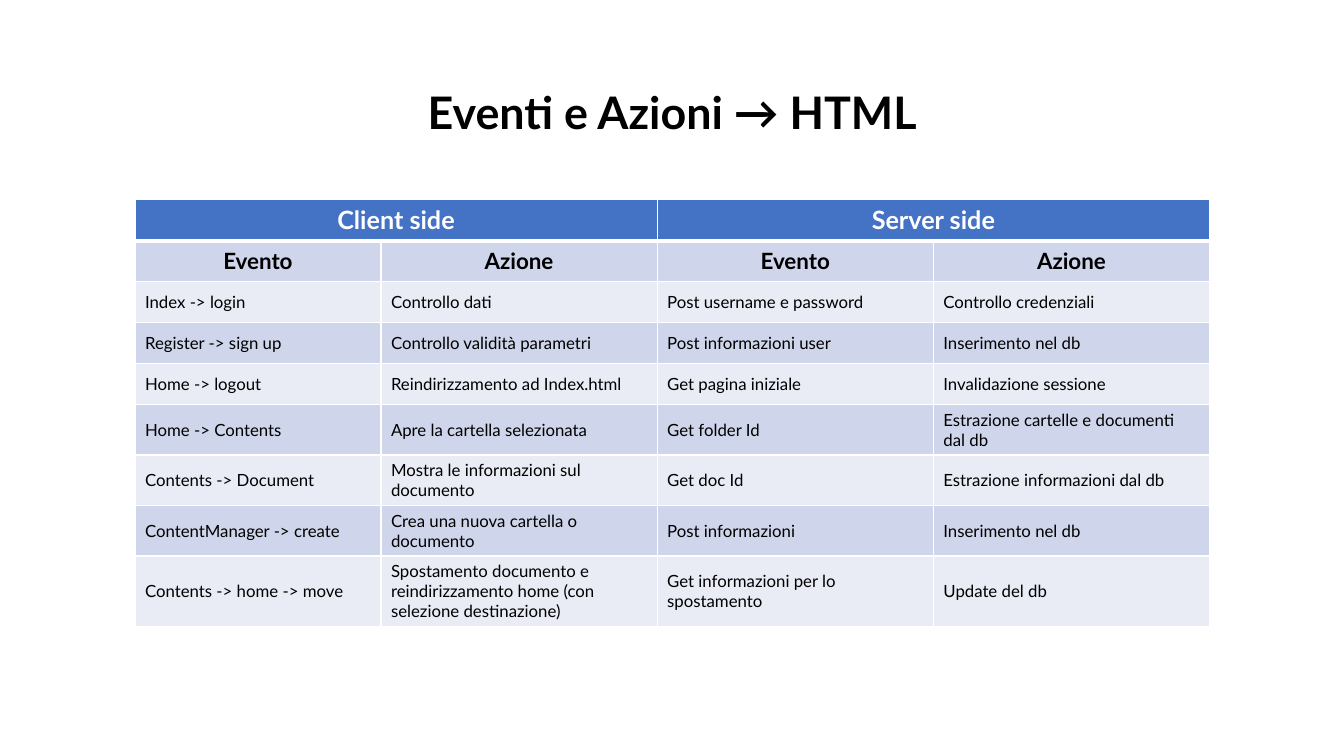
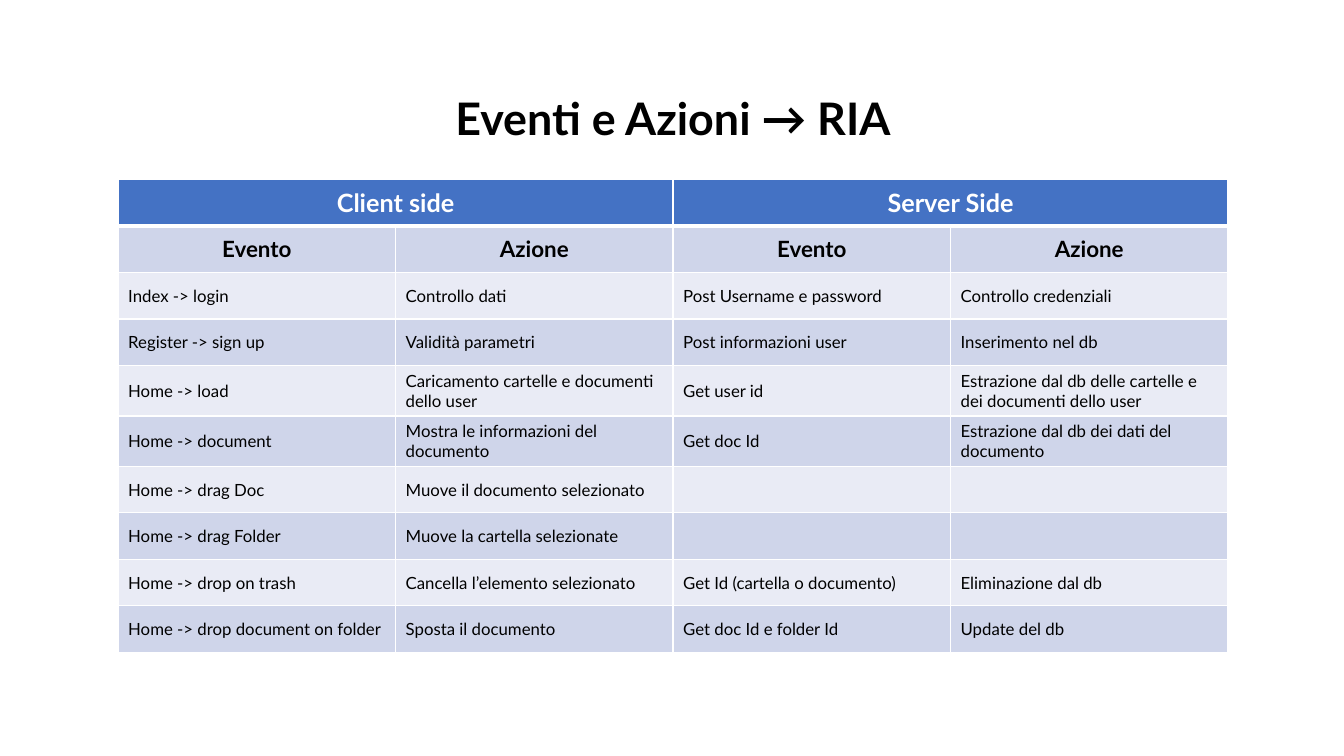
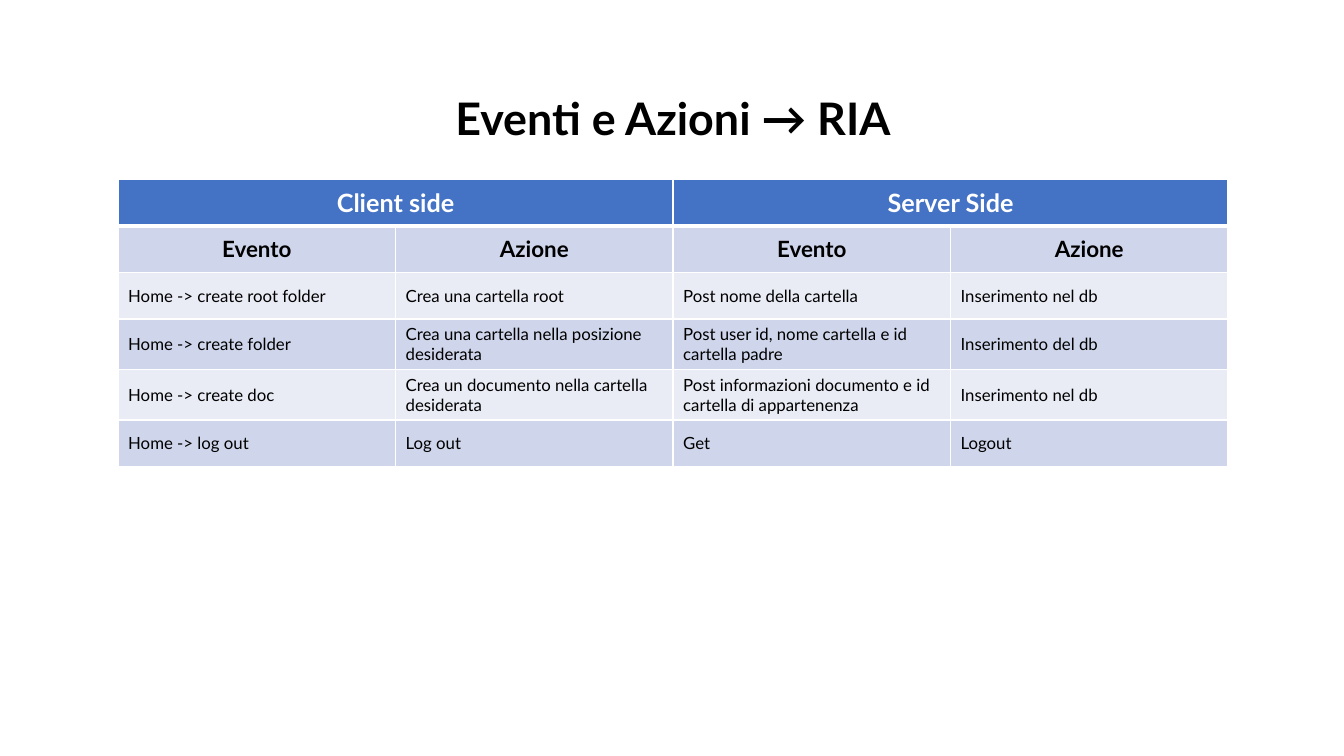
import pptx
import pptx.dml.color
import pptx.enum.text
import pptx.oxml.ns
import pptx.util
import lxml.etree

COLORS = {
    "header": "4472C4",
    "dark_band": "CFD5EA",
    "light_band": "E9EBF5",
    "white": "FFFFFF",
    "black": "000000",
}
FONT = "Lato"
TITLE_HEIGHT = 74.9
COLUMN_TITLES = ["Evento", "Azione", "Evento", "Azione"]
CENTER = pptx.enum.text.PP_ALIGN.CENTER
LEFT = pptx.enum.text.PP_ALIGN.LEFT

HTML_EVENTS = [
    ["Index -> login", "Controllo dati", "Post username e password", "Controllo credenziali"],
    ["Register -> sign up", "Controllo validità parametri", "Post informazioni user", "Inserimento nel db"],
    ["Home -> logout", "Reindirizzamento ad Index.html", "Get pagina iniziale", "Invalidazione sessione"],
    ["Home -> Contents", "Apre la cartella selezionata", "Get folder Id",
     "Estrazione cartelle e documenti dal db"],
    ["Contents -> Document", "Mostra le informazioni sul documento", "Get doc Id",
     "Estrazione informazioni dal db"],
    ["ContentManager -> create", "Crea una nuova cartella o documento", "Post informazioni",
     "Inserimento nel db"],
    ["Contents -> home -> move",
     "Spostamento documento e reindirizzamento home (con selezione destinazione)",
     "Get informazioni per lo spostamento", "Update del db"],
]
RIA_EVENTS = [
    ["Index -> login", "Controllo dati", "Post Username e password", "Controllo credenziali"],
    ["Register -> sign up", "Validità parametri", "Post informazioni user", "Inserimento nel db"],
    ["Home -> load", "Caricamento cartelle e documenti dello user", "Get user id",
     "Estrazione dal db delle cartelle e dei documenti dello user"],
    ["Home -> document", "Mostra le informazioni del documento", "Get doc Id",
     "Estrazione dal db dei dati del documento"],
    ["Home -> drag Doc", "Muove il documento selezionato", "", ""],
    ["Home -> drag Folder", "Muove la cartella selezionate", "", ""],
    ["Home -> drop on trash", "Cancella l’elemento selezionato", "Get Id (cartella o documento)",
     "Eliminazione dal db"],
    ["Home -> drop document on folder", "Sposta il documento", "Get doc Id e folder Id", "Update del db"],
]
RIA_CREATION_EVENTS = [
    ["Home -> create root folder", "Crea una cartella root", "Post nome della cartella", "Inserimento nel db"],
    ["Home -> create folder", "Crea una cartella nella posizione desiderata",
     "Post user id, nome cartella e id cartella padre", "Inserimento del db"],
    ["Home -> create doc", "Crea un documento nella cartella desiderata",
     "Post informazioni documento e id cartella di appartenenza", "Inserimento nel db"],
    ["Home -> log out", "Log out", "Get", "Logout"],
]

HTML_LAYOUT = {
    "title_box": (85.7, 28.1, 789.1),
    "table_origin": (96.4, 142.6),
    "column_widths": [175.7, 197.3, 197.3, 197.3],
    "row_height": 29.3,
    "sides": ["Client side", "Server side"],
}
RIA_LAYOUT = {
    "title_box": (84.4, 32.7, 792.8),
    "table_origin": (84.4, 128.3),
    "column_widths": [198.2] * 4,
    "row_height": 33.2,
    "sides": ["Client side", "Server Side"],
}


def rgb(name):
    return pptx.dml.color.RGBColor.from_string(COLORS[name])


def format_text(text_frame, size, color, bold, alignment):
    for paragraph in text_frame.paragraphs:
        paragraph.alignment = alignment
        for run in paragraph.runs:
            run.font.name = FONT
            run.font.size = pptx.util.Pt(size)
            run.font.bold = bold
            run.font.color.rgb = rgb(color)


def add_borders(cell, top, bottom):
    properties = cell._tc.get_or_add_tcPr()
    qualified = pptx.oxml.ns.qn
    for side, width in (("lnL", 1), ("lnR", 1), ("lnT", top), ("lnB", bottom)):
        line = lxml.etree.SubElement(properties, qualified("a:" + side), w=str(pptx.util.Pt(width)))
        fill = lxml.etree.SubElement(line, qualified("a:solidFill"))
        lxml.etree.SubElement(fill, qualified("a:srgbClr"), val=COLORS["white"])


def add_title(slide, text, box):
    left, top, width = box
    title = slide.shapes.title
    title.left, title.top = pptx.util.Pt(left), pptx.util.Pt(top)
    title.width, title.height = pptx.util.Pt(width), pptx.util.Pt(TITLE_HEIGHT)
    text_frame = title.text_frame
    text_frame.text = text
    text_frame.word_wrap = True
    text_frame.auto_size = pptx.enum.text.MSO_AUTO_SIZE.NONE
    text_frame.vertical_anchor = pptx.enum.text.MSO_ANCHOR.BOTTOM
    text_frame.paragraphs[0].line_spacing = 0.9
    format_text(text_frame, 32, "black", True, CENTER)


def fill_row(table, row_index, texts):
    if row_index == 0:
        band, text_style = "header", (18, "white", True, CENTER)
    else:
        band = "dark_band" if row_index % 2 else "light_band"
        text_style = (16, "black", True, CENTER) if row_index == 1 else (12, "black", False, LEFT)
    for column_index, text in enumerate(texts):
        cell = table.cell(row_index, column_index)
        add_borders(cell, 3 if row_index == 1 else 1, 3 if row_index == 0 else 1)
        cell.fill.solid()
        cell.fill.fore_color.rgb = rgb(band)
        cell.vertical_anchor = pptx.enum.text.MSO_ANCHOR.MIDDLE
        cell.text_frame.text = text
        format_text(cell.text_frame, *text_style)


def add_event_table(slide, events, origin, column_widths, row_height, sides):
    client, server = sides
    rows = [[client, "", server, ""], COLUMN_TITLES] + events
    left, top = origin
    frame = slide.shapes.add_table(
        len(rows), len(column_widths), pptx.util.Pt(left), pptx.util.Pt(top),
        pptx.util.Pt(sum(column_widths)), pptx.util.Pt(row_height * len(rows)))
    table = frame.table
    for column, width in zip(table.columns, column_widths):
        column.width = pptx.util.Pt(width)
    for row_index, texts in enumerate(rows):
        table.rows[row_index].height = pptx.util.Pt(row_height)
        fill_row(table, row_index, texts)
    for first_column in (0, 2):
        table.cell(0, first_column).merge(table.cell(0, first_column + 1))


def add_event_slide(presentation, title, events, layout):
    slide = presentation.slides.add_slide(presentation.slide_layouts[5])
    add_title(slide, title, layout["title_box"])
    add_event_table(slide, events, layout["table_origin"], layout["column_widths"],
                    layout["row_height"], layout["sides"])


def main():
    presentation = pptx.Presentation()
    presentation.slide_width = pptx.util.Pt(960)
    presentation.slide_height = pptx.util.Pt(540)
    add_event_slide(presentation, "Eventi e Azioni → HTML", HTML_EVENTS, HTML_LAYOUT)
    for events in (RIA_EVENTS, RIA_CREATION_EVENTS):
        add_event_slide(presentation, "Eventi e Azioni → RIA", events, RIA_LAYOUT)
    presentation.save("out.pptx")


if __name__ == "__main__":
    main()
